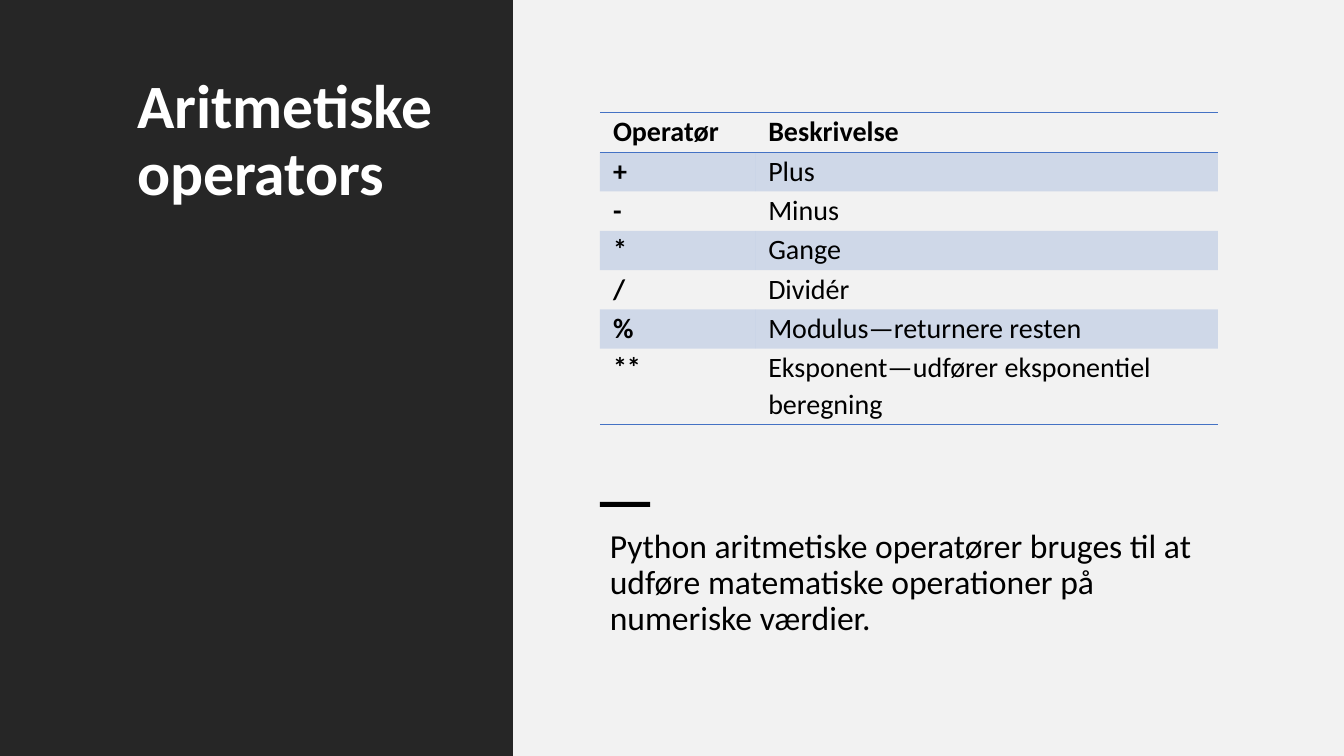
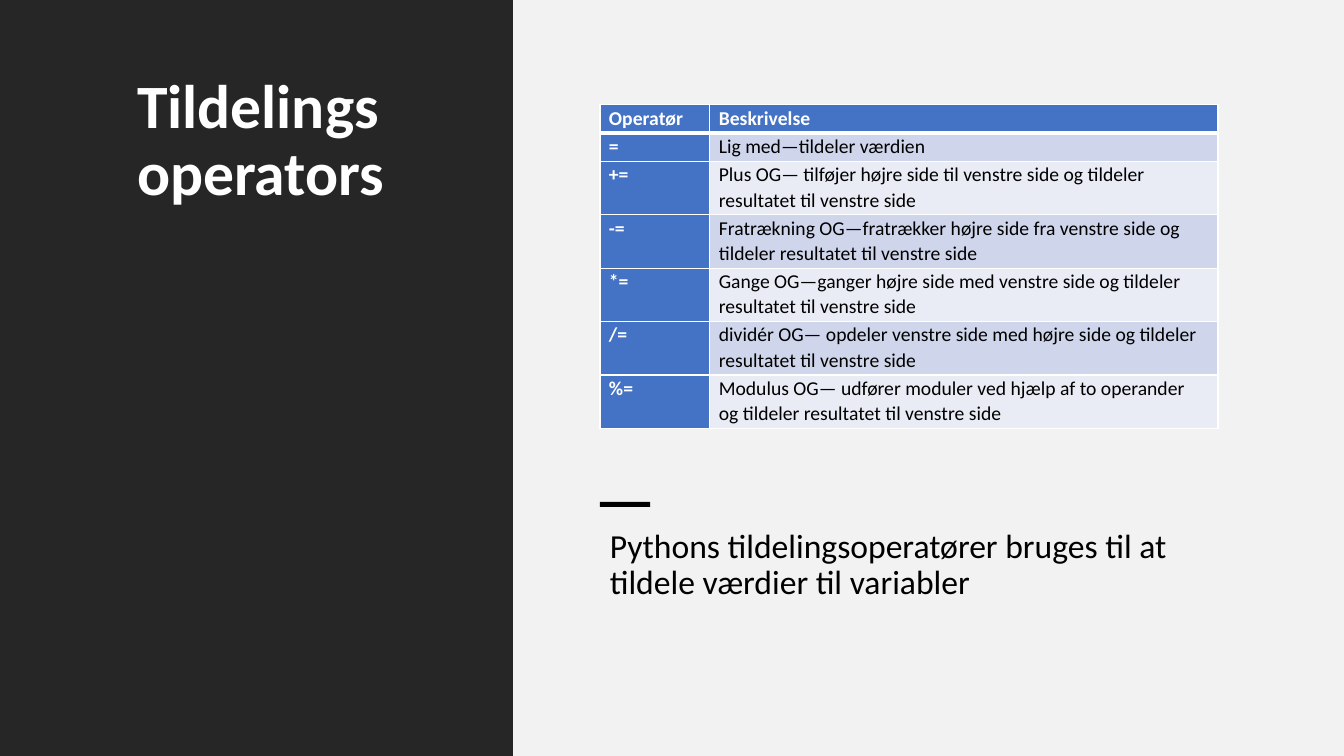
from dataclasses import dataclass

from lxml.etree import SubElement
from pptx import Presentation
from pptx.dml.color import RGBColor
from pptx.dml.fill import FillFormat
from pptx.enum.shapes import MSO_SHAPE
from pptx.enum.text import MSO_ANCHOR, MSO_AUTO_SIZE, PP_ALIGN
from pptx.oxml.ns import qn
from pptx.slide import Slide, SlideLayout
from pptx.table import Table, _Cell
from pptx.text.text import TextFrame, _Paragraph
from pptx.util import Inches, Pt

FONT = "Calibri"
WHITE, BLACK, BLUE = "FFFFFF", "000000", "4472C4"
DARK, LIGHT = "262626", "F2F2F2"
PLAIN_TABLE_STYLE = "{2D5ABB26-0587-4C30-8999-92F81FD0307C}"
TITLE_ONLY = 5
SLIDE_WIDTH, SLIDE_HEIGHT = 13.33, 7.5
SIDEBAR_WIDTH = 5.09
CONTENT_LEFT = 5.95


@dataclass(frozen=True)
class Band:
    left: float
    top: float
    width: float
    height: float
    color: str


@dataclass(frozen=True)
class Shade:
    color: str
    opacity: int = 100


@dataclass(frozen=True)
class TableLook:
    size: int
    side_margin: float
    label_color: str
    label_shade: Shade | None
    header_shade: Shade | None
    stripes: tuple[Shade | None, Shade | None]
    rule_color: str
    header_rule: int
    inner_rule: int
    column_rule: int


@dataclass(frozen=True)
class OperatorTopic:
    title: str
    summary: str
    table_top: float
    columns: tuple[float, float]
    row_heights: tuple[float, ...]
    look: TableLook
    operators: tuple[tuple[str, str], ...]


BANDS = (
    Band(0, 0, SIDEBAR_WIDTH, SLIDE_HEIGHT, DARK),
    Band(SIDEBAR_WIDTH, 0, SLIDE_WIDTH - SIDEBAR_WIDTH, SLIDE_HEIGHT, LIGHT),
    Band(CONTENT_LEFT, 4.98, 0.5, 0.05, BLACK),
)

HEADER = ("Operatør", "Beskrivelse")

OPEN_LOOK = TableLook(
    size=20, side_margin=0.13, label_color=BLACK,
    label_shade=None, header_shade=None, stripes=(Shade(BLUE, 20), None),
    rule_color=BLUE, header_rule=1, inner_rule=0, column_rule=0,
)
GRID_LOOK = TableLook(
    size=14, side_margin=0.09, label_color=WHITE,
    label_shade=Shade(BLUE), header_shade=Shade(BLUE),
    stripes=(Shade("CFD5EA"), Shade("E9EBF5")),
    rule_color=WHITE, header_rule=3, inner_rule=1, column_rule=1,
)

TOPICS = (
    OperatorTopic(
        title="Aritmetiske operators",
        summary="Python aritmetiske operatører bruges til at udføre "
                "matematiske operationer på numeriske værdier.",
        table_top=1.12,
        columns=(1.54, 4.59),
        row_heights=(0.39,) * 6 + (0.75,),
        look=OPEN_LOOK,
        operators=(
            ("+", "Plus"),
            ("-", "Minus"),
            ("*", "Gange"),
            ("/", "Dividér"),
            ("%", "Modulus—returnere resten"),
            ("**", "Eksponent—udfører eksponentiel beregning"),
        ),
    ),
    OperatorTopic(
        title="Tildelings operators",
        summary="Pythons tildelingsoperatører bruges til at tildele "
                "værdier til variabler",
        table_top=1.04,
        columns=(1.09, 5.04),
        row_heights=(0.28,) * 2 + (0.53,) * 5,
        look=GRID_LOOK,
        operators=(
            ("=", "Lig med—tildeler værdien"),
            ("+=", "Plus OG— tilføjer højre side til venstre side og "
                   "tildeler resultatet til venstre side"),
            ("-=", "Fratrækning OG—fratrækker højre side fra venstre side og "
                   "tildeler resultatet til venstre side"),
            ("*=", "Gange OG—ganger højre side med venstre side og "
                   "tildeler resultatet til venstre side"),
            ("/=", "dividér OG— opdeler venstre side med højre side og "
                   "tildeler resultatet til venstre side"),
            ("%=", "Modulus OG— udfører moduler ved hjælp af to operander og "
                   "tildeler resultatet til venstre side"),
        ),
    ),
)


def paint(fill: FillFormat, color: str) -> None:
    fill.solid()
    fill.fore_color.rgb = RGBColor.from_string(color)


def style_paragraph(paragraph: _Paragraph, size: int, color: str,
                    bold: bool, spacing: float) -> None:
    paragraph.alignment = PP_ALIGN.LEFT
    paragraph.line_spacing = spacing
    paragraph.font.name = FONT
    paragraph.font.size = Pt(size)
    paragraph.font.bold = bold
    paint(paragraph.font.fill, color)


def write_block(frame: TextFrame, text: str, size: int, color: str,
                bold: bool) -> None:
    frame.text = text
    frame.word_wrap = True
    frame.auto_size = MSO_AUTO_SIZE.NONE
    frame.vertical_anchor = MSO_ANCHOR.TOP
    style_paragraph(frame.paragraphs[0], size, color, bold, 0.9)


def add_band(slide: Slide, band: Band) -> None:
    panel = slide.shapes.add_shape(
        MSO_SHAPE.RECTANGLE, Inches(band.left), Inches(band.top),
        Inches(band.width), Inches(band.height))
    panel.shadow.inherit = False
    paint(panel.fill, band.color)
    panel.line.fill.background()


def add_title(slide: Slide, text: str) -> None:
    title = slide.shapes.title
    title.left, title.top = Inches(1.26), Inches(0.7)
    title.width, title.height = Inches(3.18), Inches(6.1)
    write_block(title.text_frame, text, 44, WHITE, True)
    slide.shapes.element.append(title.element)


def add_summary(slide: Slide, text: str) -> None:
    summary = slide.shapes.add_textbox(
        Inches(CONTENT_LEFT), Inches(5.2), Inches(6.12), Inches(1.6))
    write_block(summary.text_frame, text, 24, BLACK, False)
    summary.text_frame.paragraphs[0].space_before = Pt(10)


def set_border(cell: _Cell, side: str, width: int, color: str) -> None:
    properties = cell._tc.get_or_add_tcPr()
    line = SubElement(properties, qn(f"a:ln{side}"), w=str(Pt(width)))
    if width:
        solid = SubElement(line, qn("a:solidFill"))
        SubElement(solid, qn("a:srgbClr"), val=color)
    else:
        SubElement(line, qn("a:noFill"))


def shade_cell(cell: _Cell, shade: Shade | None) -> None:
    if shade is None:
        cell.fill.background()
        return
    paint(cell.fill, shade.color)
    if shade.opacity < 100:
        color = cell._tc.tcPr.find(f".//{qn('a:solidFill')}[last()]/{qn('a:srgbClr')}")
        fill_color = cell._tc.tcPr.find(f"{qn('a:solidFill')}/{qn('a:srgbClr')}")
        SubElement(fill_color if fill_color is not None else color,
                   qn("a:alpha"), val=str(shade.opacity * 1000))


def fill_cell(table: Table, row: int, column: int, text: str,
              look: TableLook, row_rules: list[int]) -> None:
    cell = table.cell(row, column)
    cell.text = text
    cell.margin_left = cell.margin_right = Inches(look.side_margin)
    cell.margin_top = cell.margin_bottom = 0
    cell.vertical_anchor = MSO_ANCHOR.TOP
    is_label = row == 0 or column == 0
    style_paragraph(cell.text_frame.paragraphs[0], look.size,
                    look.label_color if is_label else BLACK, is_label, 1.07)
    borders = {"L": look.column_rule, "R": look.column_rule,
               "T": row_rules[row], "B": row_rules[row + 1]}
    for side, width in borders.items():
        set_border(cell, side, width, look.rule_color)
    if row == 0:
        shade = look.header_shade
    elif column == 0 and look.label_shade:
        shade = look.label_shade
    else:
        shade = look.stripes[(row - 1) % 2]
    shade_cell(cell, shade)


def add_operator_table(slide: Slide, topic: OperatorTopic) -> None:
    entries = (HEADER, *topic.operators)
    look = topic.look
    table = slide.shapes.add_table(
        len(entries), len(HEADER), Inches(CONTENT_LEFT),
        Inches(topic.table_top), Inches(sum(topic.columns)),
        Inches(sum(topic.row_heights))).table
    table.first_row = table.horz_banding = False
    table._tbl.tblPr.find(qn("a:tableStyleId")).text = PLAIN_TABLE_STYLE
    for column, width in zip(table.columns, topic.columns):
        column.width = Inches(width)
    for row, height in zip(table.rows, topic.row_heights):
        row.height = Inches(height)
    row_rules = [1, look.header_rule,
                 *[look.inner_rule] * (len(entries) - 2), 1]
    for row_index, entry in enumerate(entries):
        for column_index, text in enumerate(entry):
            fill_cell(table, row_index, column_index, text, look, row_rules)


def build_topic(slide: Slide, topic: OperatorTopic) -> None:
    for band in BANDS:
        add_band(slide, band)
    add_title(slide, topic.title)
    add_summary(slide, topic.summary)
    add_operator_table(slide, topic)


def main() -> None:
    deck = Presentation()
    deck.slide_width = Inches(SLIDE_WIDTH)
    deck.slide_height = Inches(SLIDE_HEIGHT)
    layout: SlideLayout = deck.slide_layouts[TITLE_ONLY]
    for topic in TOPICS:
        build_topic(deck.slides.add_slide(layout), topic)
    deck.save("out.pptx")


if __name__ == "__main__":
    main()
